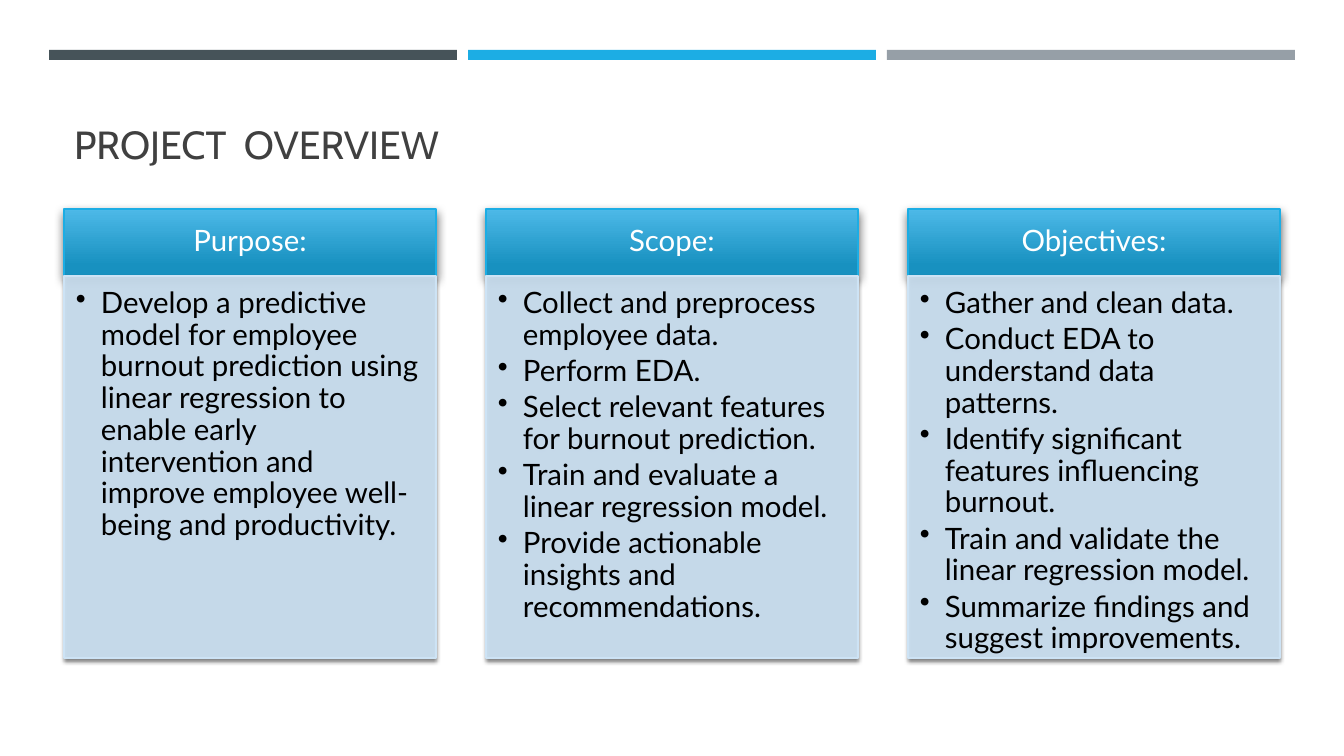
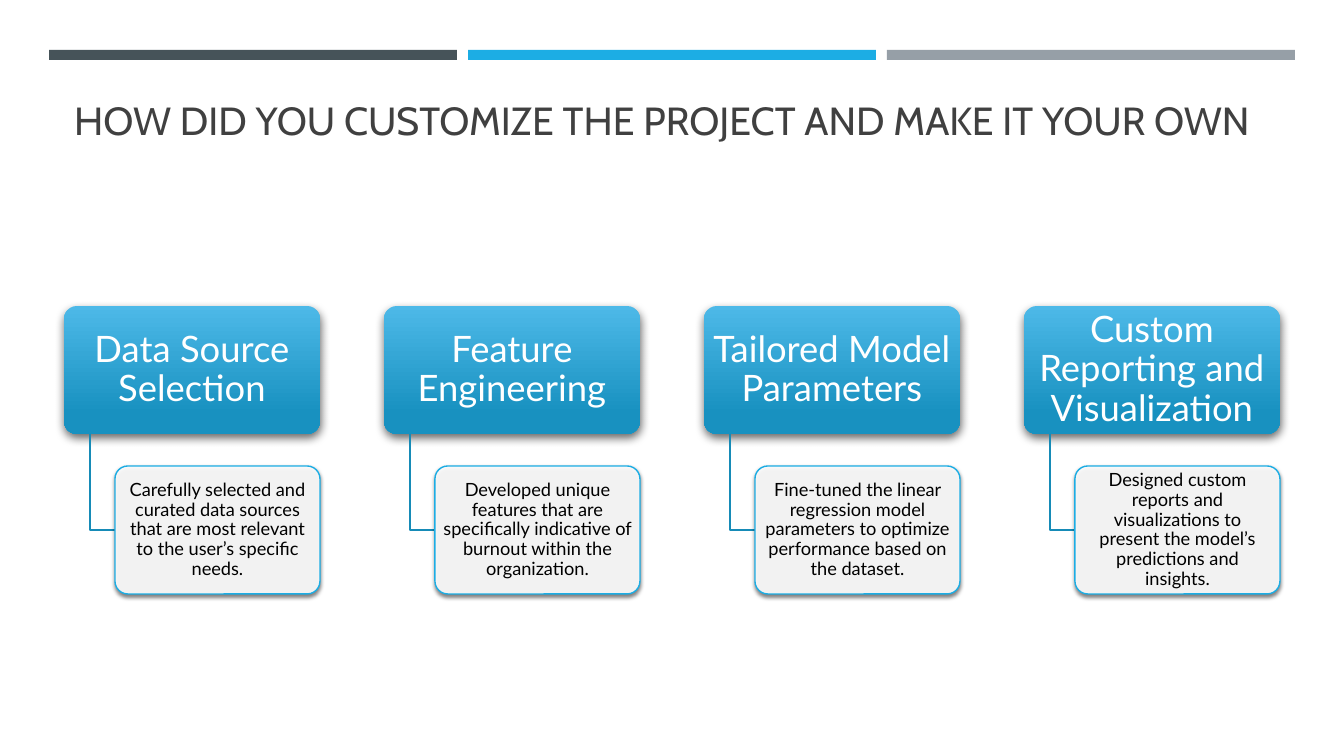
from lxml import etree
from pptx import Presentation
from pptx.dml.color import RGBColor
from pptx.enum.shapes import MSO_SHAPE
from pptx.enum.text import MSO_ANCHOR, PP_ALIGN
from pptx.oxml import parse_xml
from pptx.oxml.ns import nsdecls, qn
from pptx.util import Emu, Pt

PX = 914400 / 100.8

SLATE = RGBColor(0x46, 0x53, 0x59)
BLUE = RGBColor(0x1C, 0xAD, 0xE4)
GREY = RGBColor(0x96, 0x9F, 0xA7)
INK = RGBColor(0x40, 0x40, 0x40)
HEAD_TOP = RGBColor(0x4D, 0xB9, 0xE8)
HEAD_BOTTOM = RGBColor(0x18, 0x91, 0xC0)
PALE = RGBColor(0xCD, 0xE3, 0xF5)
STEM = RGBColor(0x16, 0x8B, 0xB7)
WHITE = RGBColor(0xFF, 0xFF, 0xFF)
BLACK = RGBColor(0, 0, 0)

TITLE_BOX = (64, 78, 1216, 131)
# blur (pt), distance (pt), direction (degrees), opacity (%)
HEAD_SHADOW = (7, 3, 84, 60)
BODY_SHADOW = (3, 2, 90, 55)


def px(*values):
    return [Emu(round(v * PX)) for v in values]


def add_panel(slide, kind, box, lines, size, insets, fill=None, line=None, bullets=False):
    """Add a shadowed text panel; without a fill it is a heading in the blue gradient."""
    sp = slide.shapes.add_shape(kind, *px(*box))
    if kind == MSO_SHAPE.ROUNDED_RECTANGLE:
        sp.adjustments[0] = 0.1
    if fill is None:
        sp.fill.gradient()
        sp.fill.gradient_angle = 270
        for stop, color, position in zip(sp.fill.gradient_stops, (HEAD_TOP, HEAD_BOTTOM), (0, 0.84)):
            stop.color.rgb = color
            stop.position = position
    else:
        sp.fill.solid()
        sp.fill.fore_color.rgb = fill
        clr = sp._element.spPr.find(qn("a:solidFill")).find(qn("a:srgbClr"))
        etree.SubElement(clr, qn("a:alpha"), val="90000")
    if line is None:
        sp.line.fill.background()
    else:
        sp.line.color.rgb = line
        sp.line.width = Pt(1)

    sp.shadow.inherit = False
    blur, dist, angle, opacity = HEAD_SHADOW if fill is None else BODY_SHADOW
    sp._element.spPr.find(qn("a:effectLst")).append(parse_xml(
        f'<a:outerShdw {nsdecls("a")} blurRad="{Pt(blur)}" dist="{Pt(dist)}" '
        f'dir="{angle * 60000}" rotWithShape="0"><a:srgbClr val="000000">'
        f'<a:alpha val="{opacity * 1000}"/></a:srgbClr></a:outerShdw>'))

    tf = sp.text_frame
    tf.word_wrap = True
    tf.margin_left, tf.margin_top, tf.margin_right, tf.margin_bottom = px(*insets)
    tf.vertical_anchor = MSO_ANCHOR.TOP if bullets else MSO_ANCHOR.MIDDLE
    for i, text in enumerate(lines):
        p = tf.add_paragraph() if i else tf.paragraphs[0]
        p.alignment = PP_ALIGN.LEFT if bullets else PP_ALIGN.CENTER
        p.line_spacing = 0.9
        if bullets:
            p.space_after = Pt(3.2)
            pPr = p._p.get_or_add_pPr()
            indent = px(25)[0]
            pPr.set("marL", str(indent))
            pPr.set("indent", str(-indent))
            etree.SubElement(pPr, qn("a:buChar"), char="•")
        r = p.add_run()
        r.text = text
        r.font.name = "Lato"
        r.font.size = Pt(size)
        r.font.color.rgb = WHITE if fill is None else BLACK


prs = Presentation()
prs.slide_width, prs.slide_height = px(1344, 756)

# Shared layout: title style and the three bands
layout = prs.slide_layouts.get_by_name("Title Only")
for ph in list(layout.placeholders):
    if ph.placeholder_format.idx:
        ph._element.getparent().remove(ph._element)
title = layout.placeholders[0]
title.left, title.top, title.width, title.height = px(*TITLE_BOX)
title.text_frame.vertical_anchor = MSO_ANCHOR.MIDDLE
title._element.txBody.find(qn("a:lstStyle")).append(parse_xml(
    f'<a:lvl1pPr {nsdecls("a")} algn="l"><a:defRPr sz="2800"><a:solidFill>'
    f'<a:srgbClr val="{INK}"/></a:solidFill><a:latin typeface="Cabin"/></a:defRPr></a:lvl1pPr>'))

overview = prs.slides.add_slide(layout)
for i, color in enumerate((SLATE, BLUE, GREY)):
    band = overview.shapes.add_shape(MSO_SHAPE.RECTANGLE, *px(49 + i * 419, 50, 408, 10))
    band.name = f"Band {i + 1}"
    band.fill.solid()
    band.fill.fore_color.rgb = color
    band.line.fill.background()
    band.shadow.inherit = False
    layout.shapes._spTree.append(band._element)

# Slide 1: three columns
overview.shapes.title.text_frame.paragraphs[0].add_run().text = "PROJECT  OVERVIEW"
columns = [
    ("Purpose:", [
        "Develop a predictive model for employee burnout prediction using linear regression "
        "to enable early intervention and improve employee well-being and productivity.",
    ]),
    ("Scope:", [
        "Collect and preprocess employee data.",
        "Perform EDA.",
        "Select relevant features for burnout prediction.",
        "Train and evaluate a linear regression model.",
        "Provide actionable insights and recommendations.",
    ]),
    ("Objectives:", [
        "Gather and clean data.",
        "Conduct EDA to understand data patterns.",
        "Identify significant features influencing burnout.",
        "Train and validate the linear regression model.",
        "Summarize findings and suggest improvements.",
    ]),
]
for i, (heading, points) in enumerate(columns):
    x = 64 + i * 422
    add_panel(overview, MSO_SHAPE.RECTANGLE, (x, 209, 372, 67), [heading], 21,
              (16, 9, 16, 9), line=BLUE)
    add_panel(overview, MSO_SHAPE.RECTANGLE, (x, 276, 372, 382), points, 21,
              (12, 12, 16, 18), fill=PALE, line=PALE, bullets=True)

# Slide 2: four topics, each with a detail card on a stem
custom = prs.slides.add_slide(layout)
title = custom.shapes.title
title.left, title.top, title.width, title.height = px(64, 54, *TITLE_BOX[2:])
title.text_frame.paragraphs[0].add_run().text = "HOW DID YOU CUSTOMIZE THE PROJECT AND MAKE IT YOUR OWN"
topics = [
    ("Data Source Selection",
     "Carefully selected and curated data sources that are most relevant to the user’s specific needs."),
    ("Feature Engineering",
     "Developed unique features that are specifically indicative of burnout within the organization."),
    ("Tailored Model Parameters",
     "Fine-tuned the linear regression model parameters to optimize performance based on the dataset."),
    ("Custom Reporting and Visualization",
     "Designed custom reports and visualizations to present the model’s predictions and insights."),
]
for i, (topic, detail) in enumerate(topics):
    x = 64 + i * 320
    add_panel(custom, MSO_SHAPE.ROUNDED_RECTANGLE, (x, 306, 256, 128), [topic], 26, (5, 4, 5, 4))
    fb = custom.shapes.build_freeform(x + 26, 434, scale=PX)
    fb.add_line_segments([(x + 26, 530), (x + 51, 530)], close=False)
    stem = fb.convert_to_shape()
    stem.fill.background()
    stem.line.color.rgb = STEM
    stem.line.width = Pt(1.75)
    stem.shadow.inherit = False
    add_panel(custom, MSO_SHAPE.ROUNDED_RECTANGLE, (x + 51, 466, 205, 128), [detail], 13,
              (3, 2, 3, 2), fill=WHITE, line=BLUE)

prs.save("out.pptx")
